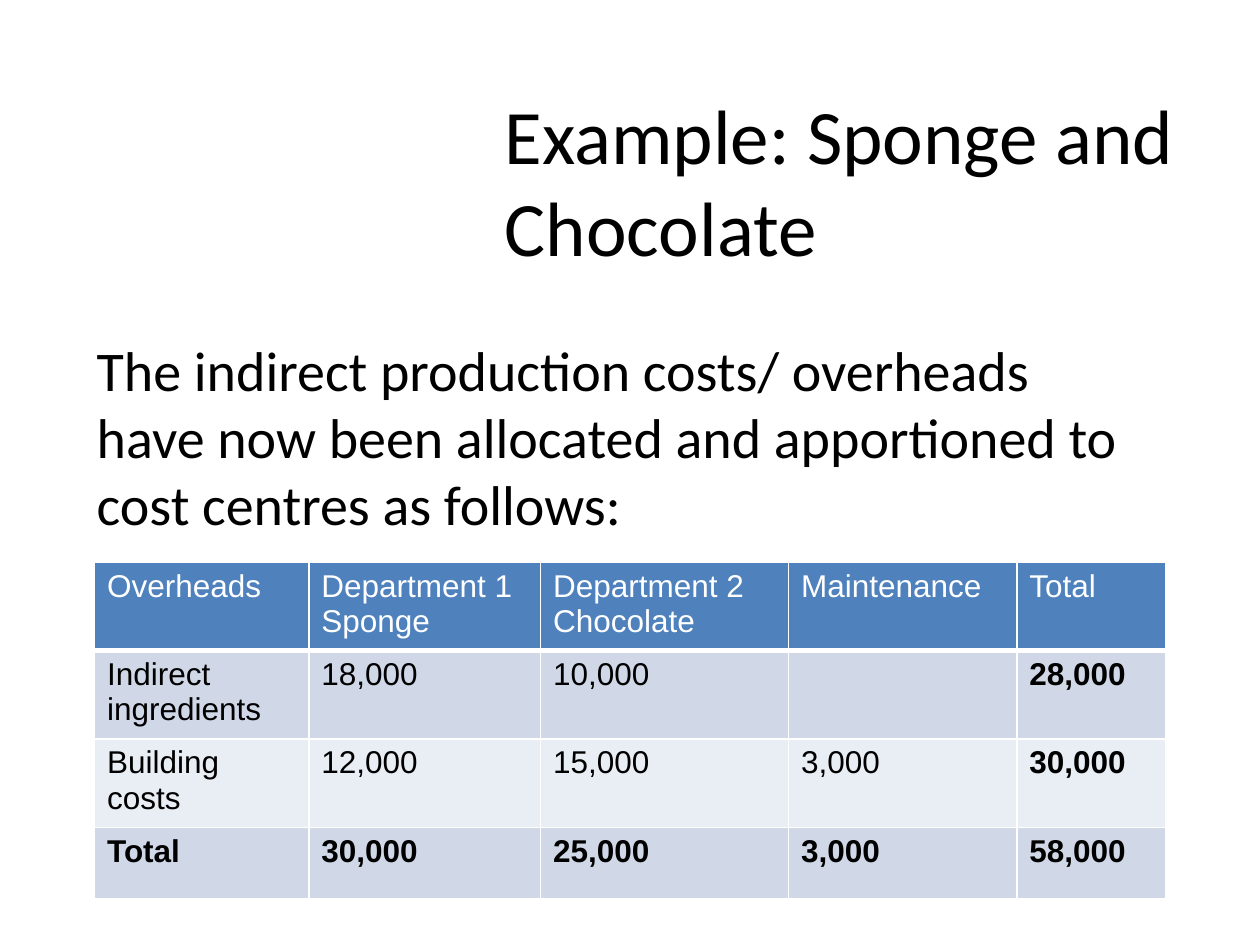
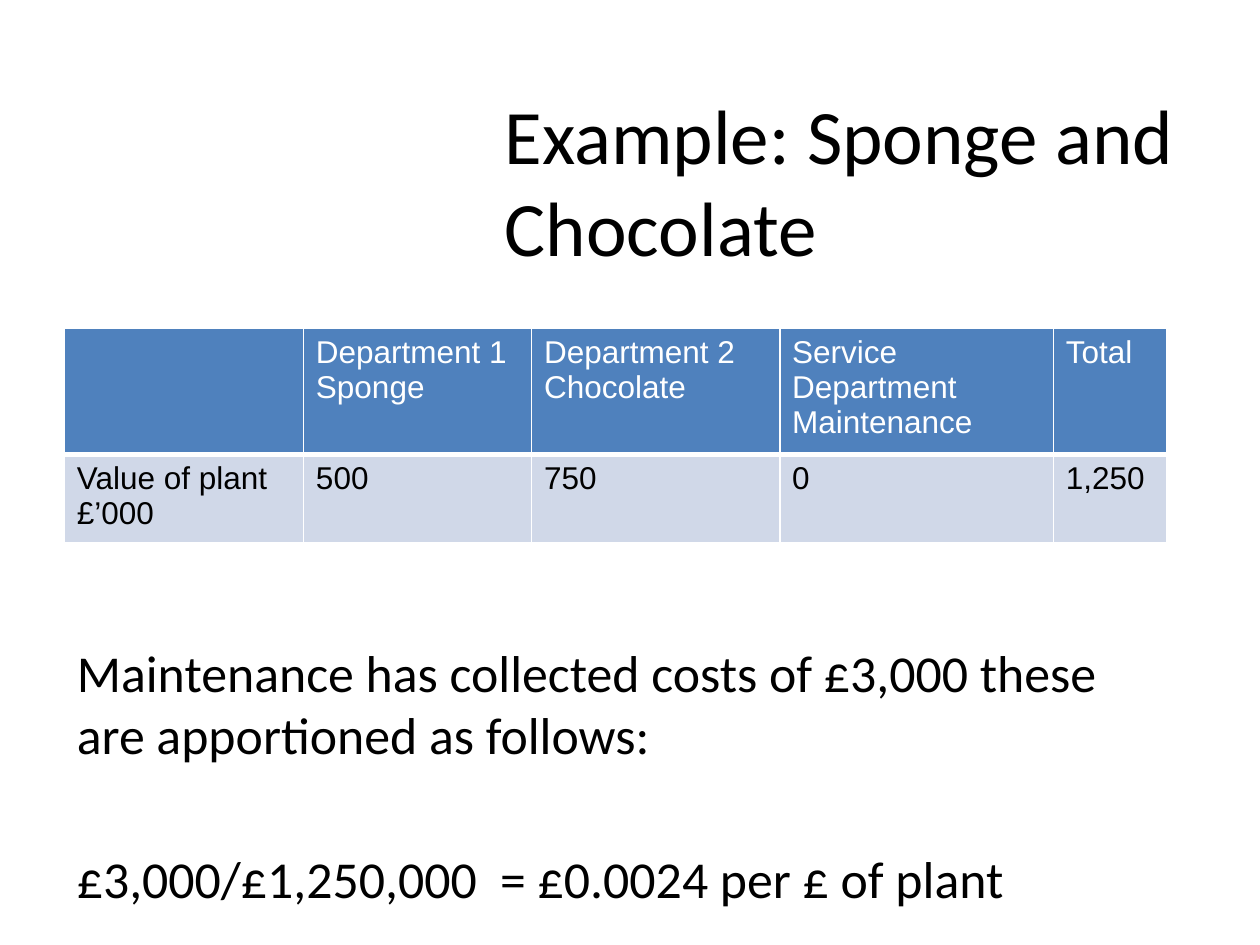
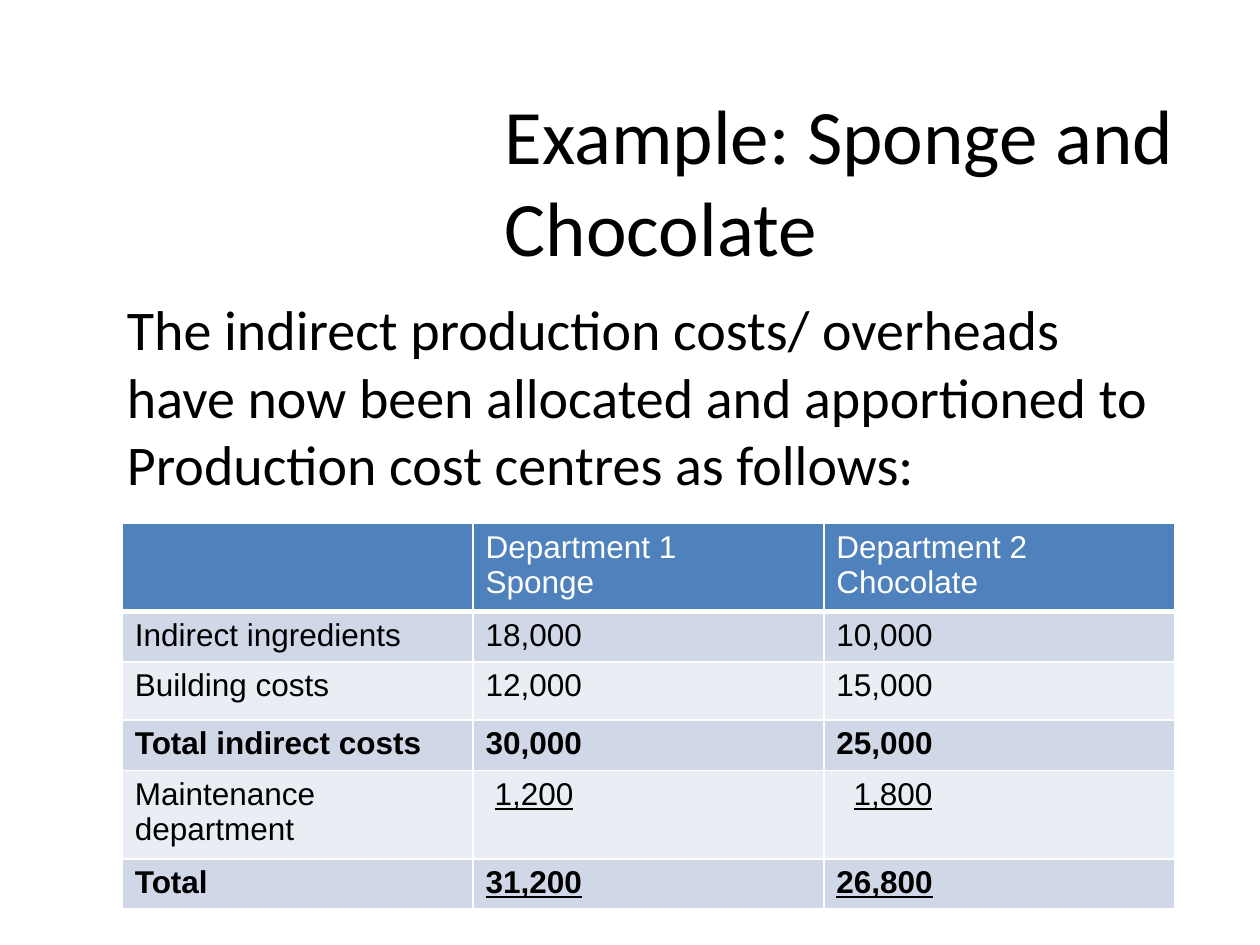
import pptx
import pptx.util
import pptx.dml.color
import pptx.enum.text
import pptx.oxml
import pptx.oxml.ns
from dataclasses import dataclass
from pptx.util import Cm


@dataclass(frozen=True)
class Theme:
    text: str = "000000"
    white: str = "FFFFFF"
    header: str = "4F81BD"
    bands: tuple = ("D0D8E8", "E9EDF4")
    heading_font: str = "Calibri"
    table_font: str = "Arial"
    title_size: float = 44
    body_size: float = 32
    small_body_size: float = 29.6
    table_size: float = 18


theme = Theme()


def style(p, name, size, color):
    p.font.name = name
    p.font.size = pptx.util.Pt(size)
    p.font.color.rgb = pptx.dml.color.RGBColor.from_string(color)


def add_text(s, box, paragraphs, size, anchor=pptx.enum.text.MSO_ANCHOR.TOP, gap=0):
    sp = s.shapes.add_textbox(*[Cm(v) for v in box])
    tf = sp.text_frame
    tf.word_wrap = True
    tf.vertical_anchor = anchor
    tf.text = "\n".join(paragraphs)
    for p in tf.paragraphs:
        style(p, theme.heading_font, size, theme.text)
    for p in tf.paragraphs[1:]:
        p.space_before = pptx.util.Pt(gap)


# Slide content: bold and underlined cells are (row, column), indents in cm
department_1 = "Department 1\nSponge"
department_2 = "Department 2\nChocolate"
intro = "The indirect production costs/ overheads have now been allocated and apportioned to "

slides = [
    dict(
        body=[intro + "cost centres as follows:"],
        body_box=(1.7, 6.63, 21.59, 4.09), body_size=theme.body_size,
        table_at=(1.91, 11.34),
        cols=[4.32, 4.67, 5, 4.6, 3], rows=[1.66, 1.66, 1.66, 1.45],
        cells=[
            ["Overheads", "Department 1 Sponge", department_2, "Maintenance", "Total"],
            ["Indirect ingredients", "18,000", "10,000", "", "28,000"],
            ["Building costs", "12,000", "15,000", "3,000", "30,000"],
            ["Total", "30,000", "25,000", "3,000", "58,000"],
        ],
        bold={(1, 4), (2, 4)}, underline=set(), indents={},
    ),
    dict(
        body=["Maintenance has collected costs of £3,000 these are apportioned as follows:",
              "£3,000/£1,250,000  = £0.0024 per £ of plant"],
        body_box=(1.3, 12.79, 21.59, 5.34), body_size=theme.small_body_size,
        table_at=(1.3, 6.62),
        cols=[4.82, 4.6, 5, 5.52, 2.29], rows=[2.37, 1.66],
        cells=[
            ["", department_1, department_2, "Service Department\nMaintenance", "Total"],
            ["Value of plant £’000", "500", "750", "0", "1,250"],
        ],
        bold=set(), underline=set(), indents={},
    ),
    dict(
        body=[intro + "Production cost centres as follows:"],
        body_box=(2.31, 5.82, 21.59, 12.7), body_size=theme.body_size,
        table_at=(2.47, 10.55),
        cols=[7.07] * 3, rows=[1.66, 0.97, 1.17, 0.97, 1.66, 0.97],
        cells=[
            ["", department_1, department_2],
            ["Indirect ingredients", "18,000", "10,000"],
            ["Building costs", "12,000", "15,000"],
            ["Total indirect costs", "30,000", "25,000"],
            ["Maintenance department", "1,200", "1,800"],
            ["Total", "31,200", "26,800"],
        ],
        bold=set(), underline={(4, 1), (4, 2), (5, 1), (5, 2)},
        indents={(4, 1): 0.18, (4, 2): 0.35},
    ),
]

prs = pptx.Presentation()
prs.slide_width, prs.slide_height = Cm(25.4), Cm(19.05)

for data in slides:
    s = prs.slides.add_slide(prs.slide_layouts[6])

    # Title and body text
    add_text(s, (9.93, 2.03, 15.16, 3.18), ["Example: Sponge and Chocolate"],
             theme.title_size, pptx.enum.text.MSO_ANCHOR.MIDDLE)
    add_text(s, data["body_box"], data["body"], data["body_size"], gap=46.7)

    # Table grid
    cols, rows = data["cols"], data["rows"]
    left, top = data["table_at"]
    table = s.shapes.add_table(len(rows), len(cols), Cm(left), Cm(top),
                               Cm(sum(cols)), Cm(sum(rows))).table
    for column, width in zip(table.columns, cols):
        column.width = Cm(width)
    for row, height in zip(table.rows, rows):
        row.height = Cm(height)

    # Table cells
    for i, texts in enumerate(data["cells"]):
        is_header = i == 0
        fill = theme.header if is_header else theme.bands[(i - 1) % 2]
        for j, text in enumerate(texts):
            cell = table.cell(i, j)
            cell.text = text
            cell.margin_left = Cm(0.25 + data["indents"].get((i, j), 0))
            for p in cell.text_frame.paragraphs:
                style(p, theme.table_font, theme.table_size,
                      theme.white if is_header else theme.text)
                p.font.bold = texts[0].startswith("Total") or (i, j) in data["bold"]
                p.font.underline = (i, j) in data["underline"]

            # Borders come before the fill in the cell properties
            tcPr = cell._tc.get_or_add_tcPr()
            for side in "LRTB":
                width = 3 if is_header and side == "B" else 1
                tcPr.append(pptx.oxml.parse_xml(
                    f'<a:ln{side} {pptx.oxml.ns.nsdecls("a")} w="{pptx.util.Pt(width)}">'
                    f'<a:solidFill><a:srgbClr val="{theme.white}"/></a:solidFill></a:ln{side}>'))
            cell.fill.solid()
            cell.fill.fore_color.rgb = pptx.dml.color.RGBColor.from_string(fill)

prs.save("out.pptx")
